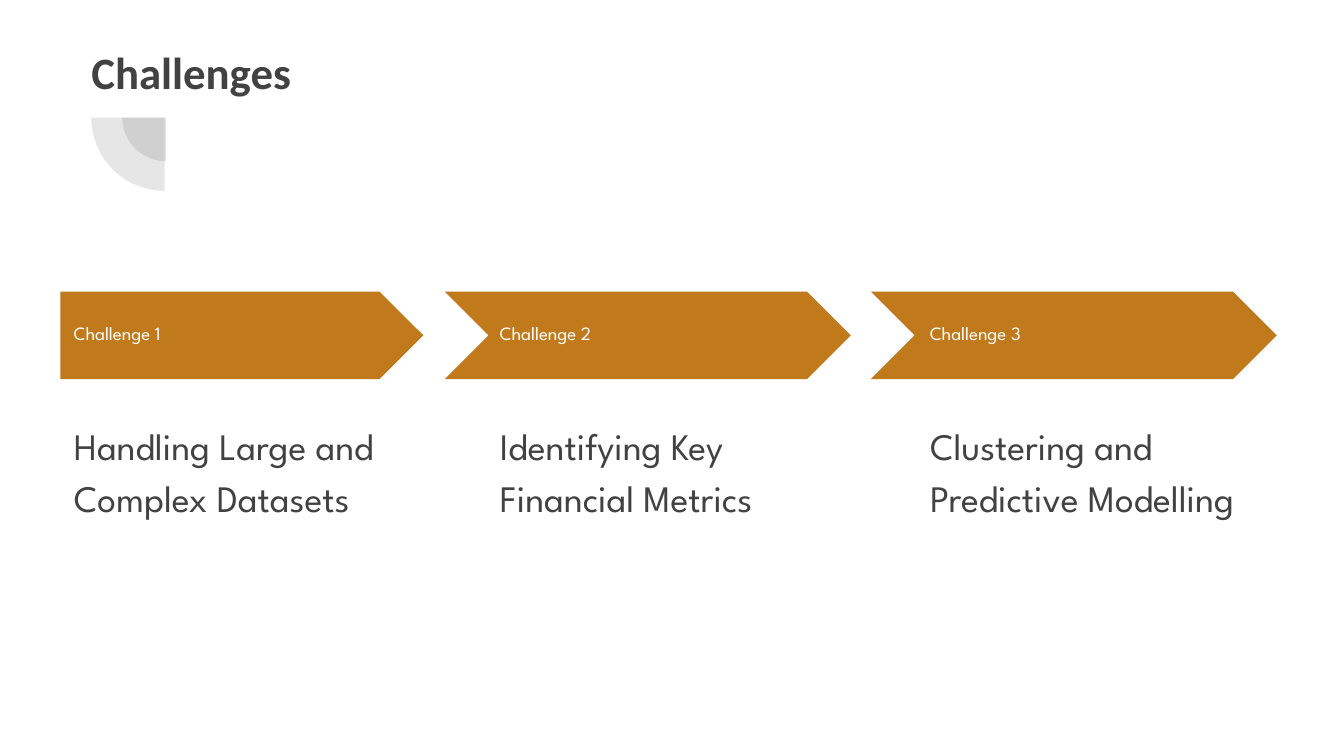
from lxml.etree import SubElement
from pptx import Presentation
from pptx.dml.color import RGBColor
from pptx.enum.shapes import MSO_SHAPE
from pptx.enum.text import MSO_ANCHOR, MSO_AUTO_SIZE, PP_ALIGN
from pptx.oxml.ns import qn
from pptx.util import Inches, Pt

COLORS = {"text": "424242", "arrow": "C0791B", "label": "FFFFFF"}


def add_filled_shape(kind, left, top, width, height, color):
    shape = slide.shapes.add_shape(
        kind, Inches(left), Inches(top), Inches(width), Inches(height))
    shape.shadow.inherit = False
    shape.fill.solid()
    shape.fill.fore_color.rgb = RGBColor.from_string(COLORS[color])
    shape.line.fill.background()
    return shape


def write_text(shape, text, box, font, size, color, anchor=MSO_ANCHOR.TOP, spacing=1.0, bold=False):
    """Place a text shape at box and fill it with one unbulleted paragraph."""
    shape.left, shape.top, shape.width, shape.height = map(Inches, box)
    frame = shape.text_frame
    frame.text = text
    frame.word_wrap = True
    frame.auto_size = MSO_AUTO_SIZE.NONE
    frame.vertical_anchor = anchor
    frame.margin_left = frame.margin_right = Inches(0.1)
    frame.margin_top = frame.margin_bottom = Inches(0.1)
    paragraph = frame.paragraphs[0]
    paragraph.alignment = PP_ALIGN.LEFT
    paragraph.line_spacing = spacing
    paragraph.space_before = Pt(0)
    properties = paragraph._p.get_or_add_pPr()
    properties.set("marL", "0")
    properties.set("indent", "0")
    SubElement(properties, qn("a:buNone"))
    run_font = paragraph.runs[0].font
    run_font.name = font
    run_font.size = Pt(size)
    run_font.bold = bold
    run_font.color.rgb = RGBColor.from_string(COLORS[color])


presentation = Presentation()
presentation.slide_width = Inches(10)
presentation.slide_height = Inches(10) * 9 // 16
slide = presentation.slides.add_slide(presentation.slide_layouts.get_by_name("Comparison"))
title, *bodies = slide.placeholders

# Two translucent quarter circles under the title
for left, top, size in [(0.91, 0.55, 0.65), (0.68, 0.33, 1.09)]:
    quarter = add_filled_shape(MSO_SHAPE.PIE, left, top, size, size, "text")
    quarter.rotation = 270
    quarter.adjustments[0] = 108
    quarter.adjustments[1] = 162
    color_element = quarter._element.spPr.find(qn("a:solidFill"))[0]
    SubElement(color_element, qn("a:alpha"), val="13000")

write_text(title, "Challenges", (0.58, 0.23, 7.69, 0.65), "Calibri", 24, "text", bold=True)

# Arrow kind, arrow left, arrow width, text left, description
challenges = [
    (MSO_SHAPE.PENTAGON, 0.45, 2.7, 0.45, "Handling Large and Complex Datasets"),
    (MSO_SHAPE.CHEVRON, 3.31, 3.02, 3.62, "Identifying Key Financial Metrics"),
    (MSO_SHAPE.CHEVRON, 6.48, 3.02, 6.82, "Clustering and Predictive Modelling"),
]
for number, (kind, left, width, text_left, description) in enumerate(challenges, start=1):
    add_filled_shape(kind, left, 2.17, width, 0.65, "arrow")
    label = slide.shapes.add_textbox(0, 0, 0, 0)
    write_text(label, f"Challenge {number}", (text_left, 2.33, 2.47, 0.33),
               "League Spartan", 10.1, "label", anchor=MSO_ANCHOR.MIDDLE, spacing=0.8)
    write_text(bodies[number - 1], description, (text_left, 3, 2.7, 1.53),
               "League Spartan", 20, "text", spacing=1.15)

for unused in bodies[len(challenges):]:
    unused._element.getparent().remove(unused._element)

presentation.save("out.pptx")
